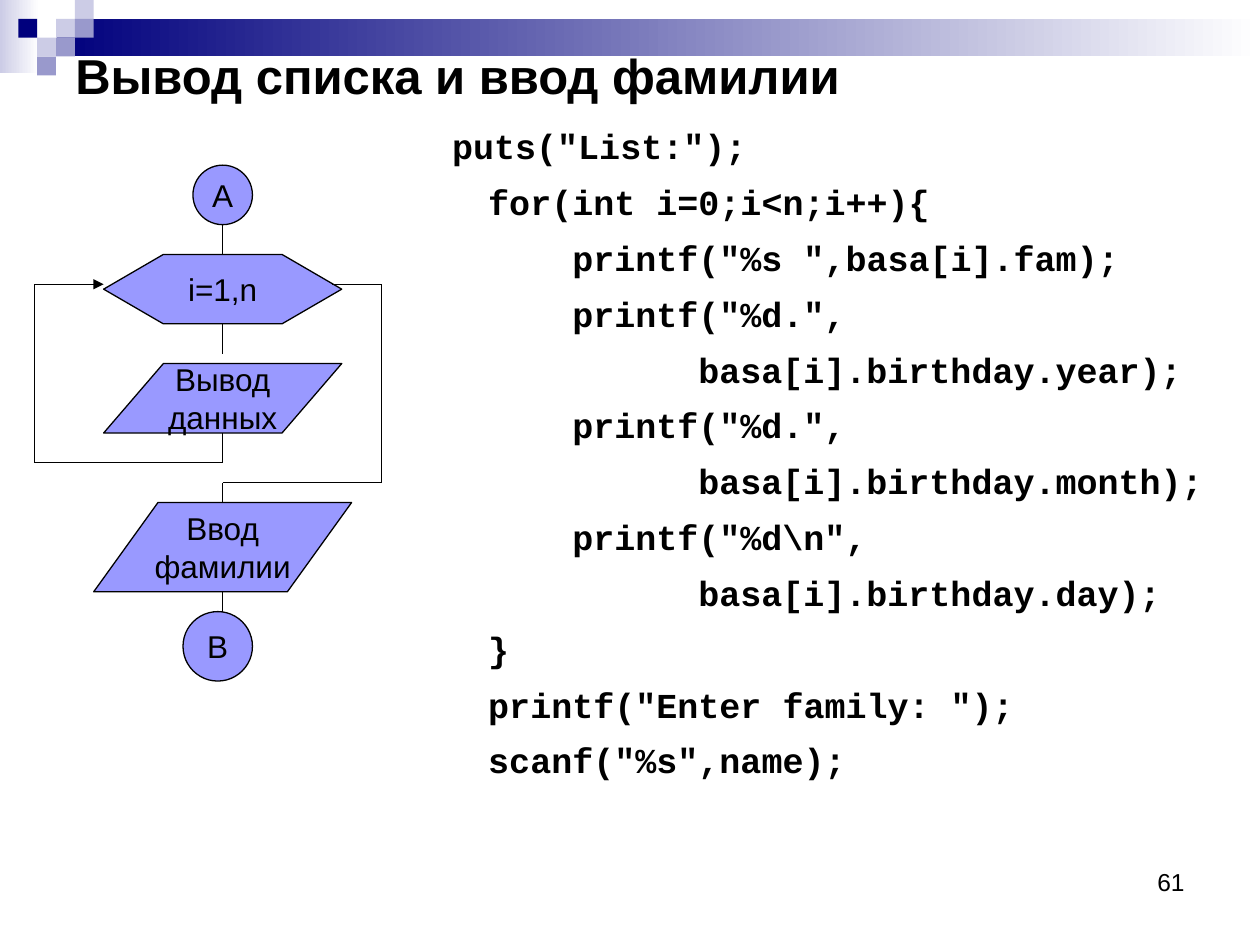
from dataclasses import dataclass

from pptx import Presentation
from pptx.dml.color import RGBColor as Rgb
from pptx.enum.shapes import MSO_CONNECTOR as Connector, MSO_SHAPE as Shape
from pptx.enum.text import MSO_ANCHOR as Anchor, PP_ALIGN as Align
from pptx.oxml.ns import qn
from pptx.util import Cm, Pt
from lxml.etree import SubElement


@dataclass(frozen=True)
class Theme:
    ink: Rgb = Rgb(0x00, 0x00, 0x00)
    paper: Rgb = Rgb(0xFF, 0xFF, 0xFF)
    node: Rgb = Rgb(0x99, 0x99, 0xFF)
    navy: Rgb = Rgb(0x00, 0x00, 0x7D)
    mid: Rgb = Rgb(0x99, 0x99, 0xCC)
    pale: Rgb = Rgb(0xCC, 0xCC, 0xE6)
    sans: str = "Arial"
    mono: str = "Courier New"
    title_size: int = 28
    code_size: int = 20
    node_size: int = 18
    number_size: int = 14
    line_width: float = 0.75


THEME = Theme()
CODE_CHAR = 0.6 * THEME.code_size  # width of one monospaced character, points

# Each code line with its indent in characters
CODE = [
    (2.28, 'puts("List:");'),
    (4, "for(int i=0;i<n;i++){"),
    (8, 'printf("%s ",basa[i].fam);'),
    (8, 'printf("%d.",'),
    (14, "basa[i].birthday.year);"),
    (8, 'printf("%d.",'),
    (14, "basa[i].birthday.month);"),
    (8, 'printf("%d\\n",'),
    (14, "basa[i].birthday.day);"),
    (4, "}"),
    (4, 'printf("Enter family: ");'),
    (4, 'scanf("%s",name);'),
]


def style(paragraph, size, bold=False, face=THEME.sans):
    font = paragraph.font
    font.name, font.size, font.bold = face, Pt(size), bold
    font.color.rgb = THEME.ink


def add_text_frame(slide, left, top, width, height):
    box = slide.shapes.add_textbox(Cm(left), Cm(top), Cm(width), Cm(height))
    box.text_frame.word_wrap = True
    return box.text_frame


def add_block(slide, left, top, width, height, color, fade=False):
    block = slide.shapes.add_shape(Shape.RECTANGLE, Cm(left), Cm(top), Cm(width), Cm(height))
    block.shadow.inherit = False
    block.line.fill.background()
    if fade:
        block.fill.gradient()
        block.fill.gradient_angle = 0
        for stop, tint in zip(block.fill.gradient_stops, (color, THEME.paper)):
            stop.color.rgb = tint
    else:
        block.fill.solid()
        block.fill.fore_color.rgb = color


def add_header(slide, left, top, width):
    """Fading bars with a checker of small squares."""
    cell, inset = 0.38, 0.37
    add_block(slide, left, top, 0.79, 1.47, THEME.pale, fade=True)
    bar = 3 * cell
    add_block(slide, left + bar, top + cell, width - bar, 2 * cell, THEME.navy, fade=True)
    squares = [(2, 1, THEME.pale), (3, 0, THEME.pale), (3, 1, THEME.mid),
               (1, 2, THEME.pale), (0, 1, THEME.navy), (2, 2, THEME.mid),
               (1, 3, THEME.mid)]
    for column, row, color in squares:
        add_block(slide, left + inset + column * cell, top + row * cell, cell, cell, color)


def add_title(slide, left, top, width, height):
    frame = add_text_frame(slide, left, top, width, height)
    frame.vertical_anchor = Anchor.MIDDLE
    heading = frame.paragraphs[0]
    heading.text = "Вывод списка и ввод фамилии"
    style(heading, THEME.title_size, bold=True)


def add_code(slide, left, top, width, height):
    frame = add_text_frame(slide, left, top, width, height)
    for index, (indent, code) in enumerate(CODE):
        line = frame.add_paragraph() if index else frame.paragraphs[0]
        line.text = code
        line.line_spacing = 1.1
        line.space_before = Pt(5.5)
        line._p.get_or_add_pPr().set("marL", str(Pt(indent * CODE_CHAR)))
        style(line, THEME.code_size, bold=True, face=THEME.mono)


def add_page_number(slide, left, top, width, height):
    number = add_text_frame(slide, left, top, width, height).paragraphs[0]
    number.text = "61"
    number.alignment = Align.RIGHT
    style(number, THEME.number_size)


def add_node(slide, kind, center, top, width, height, label, slant=None):
    node = slide.shapes.add_shape(kind, Cm(center - width / 2), Cm(top), Cm(width), Cm(height))
    node.shadow.inherit = False
    node.fill.solid()
    node.fill.fore_color.rgb = THEME.node
    node.line.color.rgb = THEME.ink
    node.line.width = Pt(THEME.line_width)
    if slant:
        node.adjustments[0] = slant
    frame = node.text_frame
    frame.word_wrap = False
    frame.vertical_anchor = Anchor.MIDDLE
    frame.text = label
    for paragraph in frame.paragraphs:
        paragraph.alignment = Align.CENTER
        style(paragraph, THEME.node_size)


def add_route(slide, left, top, points, arrow=False):
    """Straight segments through the points; the last may carry an arrowhead."""
    for (x1, y1), (x2, y2) in zip(points, points[1:]):
        segment = slide.shapes.add_connector(
            Connector.STRAIGHT, Cm(left + x1), Cm(top + y1), Cm(left + x2), Cm(top + y2))
        segment.line.color.rgb = THEME.ink
        segment.line.width = Pt(THEME.line_width)
        if arrow and (x2, y2) == points[-1]:
            SubElement(segment.line._get_or_add_ln(), qn("a:tailEnd"), type="triangle")
        SubElement(segment._element.spPr, qn("a:effectLst"))


def add_flowchart(slide, left, top):
    axis = 3.8
    nodes = [
        (Shape.OVAL, axis, 0, 1.2, 1.2, "А"),
        (Shape.HEXAGON, axis, 1.8, 4.8, 1.4, "i=1,n", 0.86),
        (Shape.PARALLELOGRAM, axis, 4, 4.8, 1.4, "Вывод\nданных", 0.86),
        (Shape.PARALLELOGRAM, axis, 6.8, 5.2, 1.8, "Ввод\nфамилии", 0.72),
        (Shape.OVAL, axis - 0.1, 9, 1.4, 1.4, "В"),
    ]
    for kind, center, node_top, *rest in nodes:
        add_node(slide, kind, left + center, top + node_top, *rest)

    # Links down the axis
    for start, end in [(1.2, 1.8), (3.2, 3.8), (8.6, 9)]:
        add_route(slide, left, top, [(axis, start), (axis, end)])
    # Loop back, then loop exit
    add_route(slide, left, top,
              [(axis, 5.4), (axis, 6), (0, 6), (0, 2.4), (1.4, 2.4)], arrow=True)
    add_route(slide, left, top,
              [(6, 2.4), (7, 2.4), (7, 6.4), (axis, 6.4), (axis, 6.8)])


def main():
    deck = Presentation()
    deck.slide_width, deck.slide_height = Cm(25.4), Cm(19.05)
    slide = deck.slides.add_slide(deck.slide_layouts[6])
    add_header(slide, 0, 0, 25.4)
    add_page_number(slide, 18.21, 17.35, 5.92, 1.32)
    add_title(slide, 1.27, 1.12, 24.13, 0.79)
    add_code(slide, 7.9, 2.31, 17.5, 16.74)
    add_flowchart(slide, 0.69, 3.33)
    deck.save("out.pptx")


if __name__ == "__main__":
    main()
